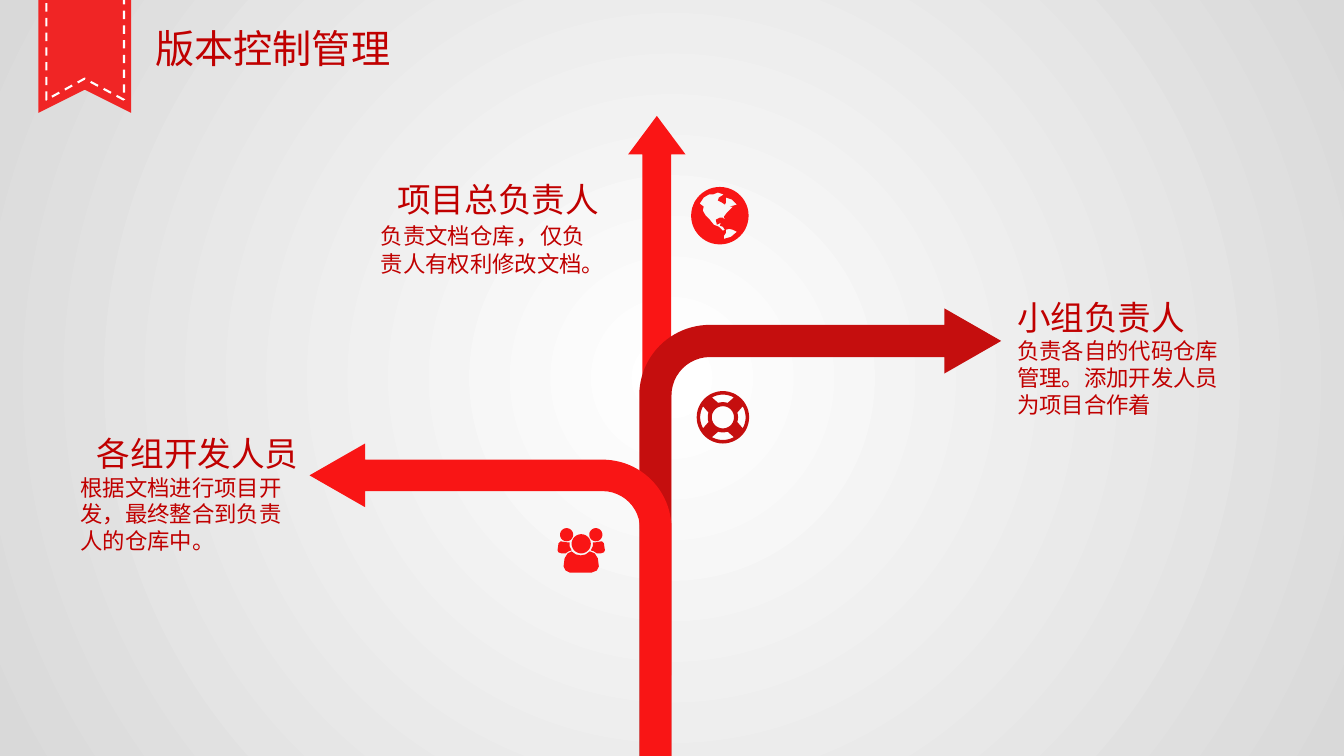
"""Builds the version control slide: one trunk of arrows branching to three roles."""
import math
from dataclasses import dataclass

from lxml import etree
from pptx import Presentation
from pptx import util as u
from pptx.dml.color import RGBColor
from pptx.enum import dml, shapes, text
from pptx.oxml import ns


@dataclass(frozen=True)
class Theme:
    ink: str = "C00000"
    bright: str = "FA1515"
    branch: str = "F91515"
    dark: str = "C50E0E"
    ribbon: str = "F02525"
    white: str = "FFFFFF"
    edge: str = "D9D9D9"
    title_size: int = 28
    heading_size: int = 24
    comma_size: int = 18
    body_size: int = 16
    title_font: str = "Noto Sans CJK SC"
    label_font: str = "Calibri"


def arc(cx, cy, r, start=0, end=360, steps=48):
    """Points along a circular arc, in inches and degrees."""
    angles = [math.radians(start + (end - start) * i / steps) for i in range(steps + 1)]
    return [(cx + r * math.cos(a), cy + r * math.sin(a)) for a in angles]


def outline(parent, contours, colour=None):
    """Draw closed contours, given in inches, as one freeform."""
    scaled = [[(u.Inches(x), u.Inches(y)) for x, y in contour] for contour in contours]
    builder = parent.build_freeform(*scaled[0][0], scale=1.0)
    for i, contour in enumerate(scaled):
        if i:
            builder.move_to(*contour[0])
        builder.add_line_segments(contour[1:], close=True)
    figure = builder.convert_to_shape()
    figure.shadow.inherit = False
    if colour:
        figure.fill.solid()
        figure.fill.fore_color.rgb = RGBColor.from_string(colour)
        figure.line.fill.background()
    else:
        figure.fill.background()
    return figure


theme = Theme()
deck = Presentation()
deck.slide_width, deck.slide_height = u.Inches(13.33), u.Inches(7.5)
slide = deck.slides.add_slide(deck.slide_layouts[5])

backdrop = slide.background.fill
backdrop.gradient()
for stop, colour in zip(backdrop.gradient_stops, (theme.white, theme.edge)):
    stop.color.rgb = RGBColor.from_string(colour)
linear = next(slide.background._cSld.iter(ns.qn("a:lin")))
radial = etree.Element(ns.qn("a:path"), {"path": "circle"})
etree.SubElement(radial, ns.qn("a:fillToRect"), dict.fromkeys("ltrb", "50000"))
linear.getparent().replace(linear, radial)

ribbon = slide.shapes.add_group_shape().shapes
outline(ribbon, [[(1.3, 1.12), (0.84, 0.89), (0.38, 1.12), (0.38, -2.38), (1.3, -2.38)]],
        theme.ribbon)
stitch = outline(ribbon, [[(1.23, 0.99), (0.84, 0.78), (0.46, 0.99), (0.46, -2.28), (1.23, -2.28)]])
stitch.line.color.rgb = RGBColor.from_string(theme.white)
stitch.line.width = u.Pt(1.5)
stitch.line.dash_style = dml.MSO_LINE.DASH

title = slide.shapes.title
title.left, title.top, title.width, title.height = map(u.Inches, (1.44, 0.19, 4.34, 0.57))
title.text_frame.text = "版本控制管理"
title.text_frame.vertical_anchor = text.MSO_ANCHOR.MIDDLE
title.text_frame.paragraphs[0].alignment = text.PP_ALIGN.LEFT
styled = [(title.text_frame.paragraphs[0].runs[0], theme.title_size, theme.title_font)]

BENT = (0.089, 0.09, 0.157, 0.195)
arrows = [
    (shapes.MSO_SHAPE.UP_ARROW, (6.23, 1.15, 0.57, 5.55), (0.5, 0.671), theme.bright, False),
    (shapes.MSO_SHAPE.BENT_ARROW, (6.34, 3.06, 3.59, 4.44), BENT, theme.dark, False),
    (shapes.MSO_SHAPE.BENT_ARROW, (3.07, 4.4, 3.59, 3.51), BENT, theme.branch, True),
]
for kind, place, bends, colour, mirrored in arrows:
    arrow = slide.shapes.add_shape(kind, *map(u.Inches, place))
    for i, bend in enumerate(bends):
        arrow.adjustments[i] = bend
    arrow.shadow.inherit = False
    arrow.fill.solid()
    arrow.fill.fore_color.rgb = RGBColor.from_string(colour)
    arrow.line.fill.background()
    if mirrored:
        arrow._element.spPr.find(ns.qn("a:xfrm")).set("flipH", "1")

north_america = [
    (7.24, 2.05), (7.31, 2.03), (7.26, 1.98), (7.2, 1.96), (7.2, 2.01), (7.19, 2.03),
    (7.16, 2.01), (7.12, 1.99), (7.13, 1.96), (7.18, 1.93), (7.12, 1.91), (7.07, 1.93),
    (7.03, 1.93), (6.98, 1.96), (6.94, 2.02), (6.98, 2.05), (6.97, 2.09), (7, 2.14),
    (7.04, 2.18), (7.08, 2.23), (7.13, 2.25), (7.17, 2.29), (7.19, 2.28), (7.17, 2.25),
    (7.14, 2.24), (7.15, 2.21), (7.11, 2.23), (7.1, 2.18), (7.14, 2.16), (7.17, 2.16),
    (7.19, 2.18), (7.18, 2.15), (7.21, 2.11), (7.24, 2.08), (7.27, 2.05),
]
south_america = [
    (7.31, 2.3), (7.27, 2.28), (7.23, 2.27), (7.2, 2.28), (7.2, 2.31), (7.18, 2.34),
    (7.18, 2.37), (7.25, 2.35),
]
outline(slide.shapes, [arc(7.14, 2.14, 0.285), north_america, south_america], theme.branch)

buoy = (7.17, 4.14)
gaps = [arc(*buoy, 0.225, mid - 29, mid + 29, 12) + arc(*buoy, 0.15, mid + 18, mid - 18, 12)
        for mid in range(0, 360, 90)]
outline(slide.shapes, [arc(*buoy, 0.26), arc(*buoy, 0.11), *gaps], theme.dark)

middle = 5.765
front_body = [
    (5.67, 5.47), (5.71, 5.5), (5.76, 5.51), (5.81, 5.5), (5.85, 5.47), (5.9, 5.49),
    (5.93, 5.54), (5.94, 5.62), (5.92, 5.66), (5.87, 5.68), (5.65, 5.68), (5.61, 5.66),
    (5.59, 5.62), (5.6, 5.54), (5.63, 5.49),
]
left_body = [
    (5.61, 5.49), (5.57, 5.49), (5.54, 5.48), (5.53, 5.46), (5.54, 5.39), (5.56, 5.37),
    (5.62, 5.38), (5.65, 5.38), (5.65, 5.42), (5.67, 5.46), (5.64, 5.47),
]
right_body = [(2 * middle - x, y) for x, y in left_body]
heads = [arc(middle, 5.395, 0.095), arc(5.62, 5.305, 0.065), arc(2 * middle - 5.62, 5.305, 0.065)]
outline(slide.shapes, [*heads, front_body, left_body, right_body], theme.branch)

roles = [
    ((3.68, 1.73, 2.36, 1.08), text.PP_ALIGN.RIGHT, "项目总负责人",
     [("负责文档仓库", theme.body_size), ("，", theme.comma_size),
      ("仅负责人有权利修改文档。", theme.body_size)]),
    ((9.99, 2.9, 2.36, 1.31), text.PP_ALIGN.LEFT, "小组负责人",
     [("负责各自的代码仓库管理。添加开发人员为项目合作着", theme.body_size)]),
    ((0.7, 4.25, 2.36, 1.31), text.PP_ALIGN.RIGHT, "各组开发人员",
     [("根据文档进行项目开发，最终整合到负责人的仓库中。", theme.body_size)]),
]
for place, alignment, role, duty in roles:
    frame = slide.shapes.add_textbox(*map(u.Inches, place)).text_frame
    frame.word_wrap = True
    frame.text = role
    heading = frame.paragraphs[0]
    heading.alignment = alignment
    styled.append((heading.runs[0], theme.heading_size, theme.label_font))
    details = frame.add_paragraph()
    for words, size in duty:
        run = details.add_run()
        run.text = words
        styled.append((run, size, theme.label_font))

for run, size, face in styled:
    run.font.size = u.Pt(size)
    run.font.color.rgb = RGBColor.from_string(theme.ink)
    run.font.name = face
    latin = run.font._element.find(ns.qn("a:latin"))
    latin.addnext(etree.Element(ns.qn("a:ea"), {"typeface": face}))
    run.font._element.set("lang", "zh-CN")

deck.save("out.pptx")
